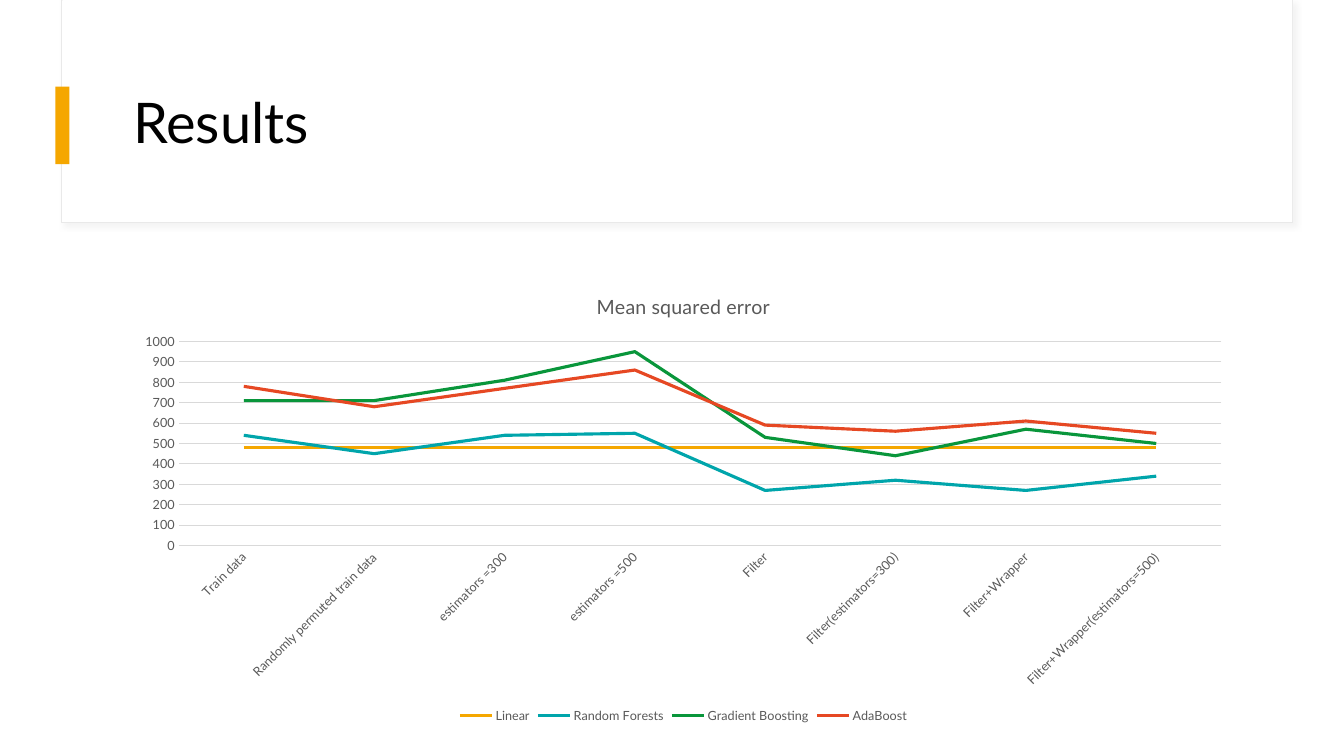
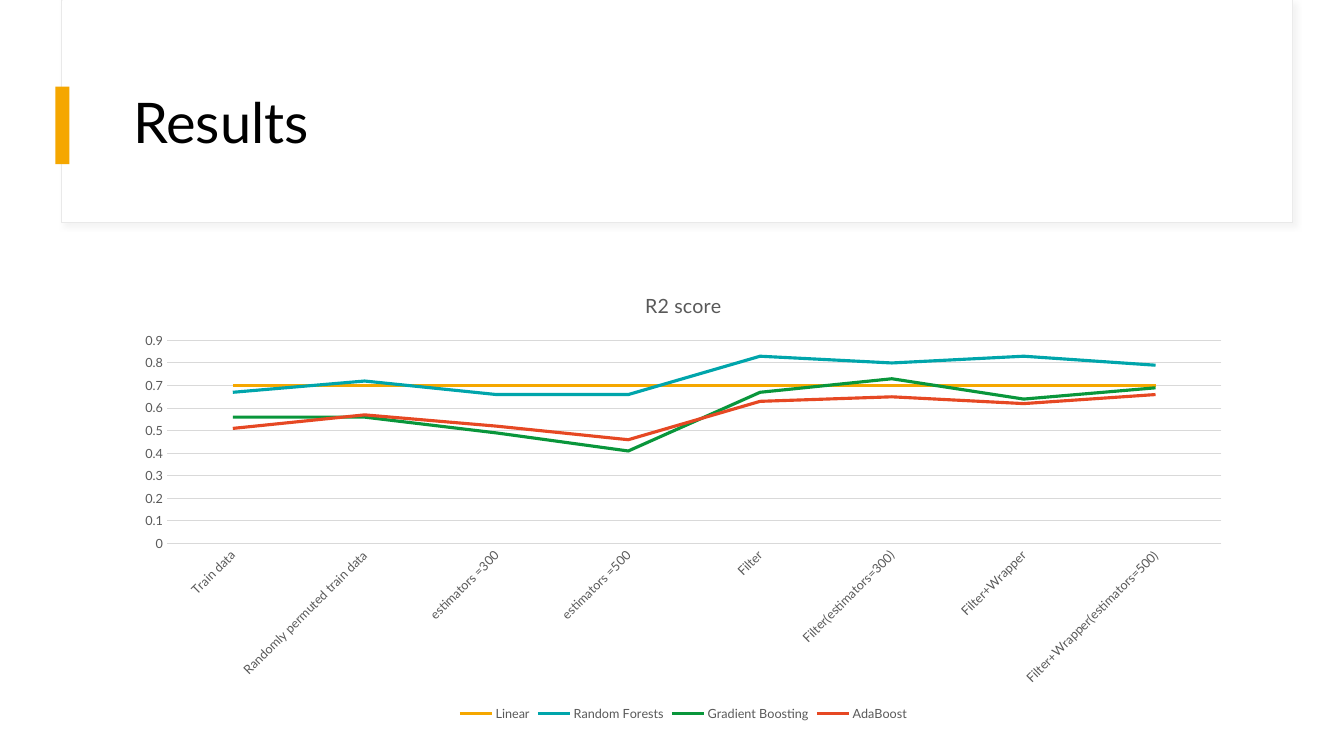
from lxml import etree
from pptx import Presentation
from pptx.chart.data import CategoryChartData
from pptx.dml.color import RGBColor
from pptx.enum import chart as kinds, shapes, text
from pptx.oxml import ns
from pptx.util import Pt

FONT = "Lato"
COLOURS = {
    "white": "FFFFFF", "black": "000000", "accent": "F5A700", "frame": "E9E9E9",
    "shadow": "D9D9D9", "grid": "D9D9D9", "label": "595959",
    "Linear": "F5A700", "Random Forests": "00A5AB",
    "Gradient Boosting": "09963B", "AdaBoost": "E64823",
}
LEFT, WIDTH = 87.84, 800.64
CATEGORIES = [
    "Train data", "Randomly permuted train data", "estimators =300", "estimators =500",
    "Filter", "Filter(estimators=300)", "Filter+Wrapper", "Filter+Wrapper(estimators=500)",
]
RESULTS = [
    {
        "title": "Mean squared error", "top": 195.84, "height": 324, "maximum": 1000, "step": 100,
        "series": {
            "Linear": [480] * 8,
            "Random Forests": [540, 450, 540, 550, 270, 320, 270, 340],
            "Gradient Boosting": [710, 710, 810, 950, 530, 440, 570, 500],
            "AdaBoost": [780, 680, 770, 860, 590, 560, 610, 550],
        },
    },
    {
        "title": "R2 score", "top": 195.12, "height": 323.28, "maximum": 0.9, "step": 0.1,
        "series": {
            "Linear": [0.7] * 8,
            "Random Forests": [0.67, 0.72, 0.66, 0.66, 0.83, 0.8, 0.83, 0.79],
            "Gradient Boosting": [0.56, 0.56, 0.49, 0.41, 0.67, 0.73, 0.64, 0.69],
            "AdaBoost": [0.51, 0.57, 0.52, 0.46, 0.63, 0.65, 0.62, 0.66],
        },
    },
]


def colour(name):
    return RGBColor.from_string(COLOURS[name])


def style_font(font, size, name):
    font.name = FONT
    font.size = Pt(size)
    font.bold = False
    font.color.rgb = colour(name)


def style_line(line, name, width):
    line.color.rgb = colour(name)
    line.width = Pt(width)


def add_band(page, place, fill, outline=None):
    box = page.shapes.add_shape(shapes.MSO_SHAPE.RECTANGLE, *map(Pt, place))
    box.shadow.inherit = False
    box.fill.solid()
    box.fill.fore_color.rgb = colour(fill)
    if outline:
        style_line(box.line, outline, 0.75)
    else:
        box.line.fill.background()
    page.shapes.title.element.addprevious(box.element)
    return box


def add_shadow(box):
    effects = box.element.spPr.find(ns.qn("a:effectLst"))
    shadow = etree.SubElement(
        effects, ns.qn("a:outerShdw"), blurRad=str(Pt(4)), dist=str(Pt(3)),
        dir="2700000", algn="tl", rotWithShape="0")
    tint = etree.SubElement(shadow, ns.qn("a:srgbClr"), val=COLOURS["shadow"])
    etree.SubElement(tint, ns.qn("a:alpha"), val="30000")


def add_header(page, words):
    add_shadow(add_band(page, (43.92, 0, 879.12, 159.12), "white", "frame"))
    add_band(page, (44.64, 0, 878.4, 158.4), "white")
    add_band(page, (39.6, 61.92, 10.08, 55.44), "accent")
    title = page.shapes.title
    title.left, title.top, title.width, title.height = map(Pt, (LEFT, 43.2, WIDTH, 92.88))
    frame = title.text_frame
    frame.vertical_anchor = text.MSO_ANCHOR.MIDDLE
    frame.word_wrap = True
    para = frame.paragraphs[0]
    para.alignment = text.PP_ALIGN.LEFT
    para.line_spacing = 0.9
    span = para.add_run()
    span.text = words
    style_font(span.font, 40, "black")


def style_axes(chart, maximum, step):
    for axis in (chart.category_axis, chart.value_axis):
        axis.major_tick_mark = axis.minor_tick_mark = kinds.XL_TICK_MARK.NONE
        style_font(axis.tick_labels.font, 9, "label")
    style_line(chart.category_axis.format.line, "grid", 0.75)
    for body in chart.element.xpath("c:chart/c:plotArea/c:catAx/c:txPr/a:bodyPr"):
        body.set("rot", "-2700000")
    values = chart.value_axis
    values.minimum_scale, values.maximum_scale, values.major_unit = 0, maximum, step
    values.format.line.fill.background()
    style_line(values.major_gridlines.format.line, "grid", 0.75)


def add_line_chart(page, result):
    data = CategoryChartData()
    data.categories = CATEGORIES
    for name, values in result["series"].items():
        data.add_series(name, values)
    place = map(Pt, (LEFT, result["top"], WIDTH, result["height"]))
    chart = page.shapes.add_chart(kinds.XL_CHART_TYPE.LINE, *place, data).chart
    style_font(chart.font, 10, "black")
    span = chart.chart_title.text_frame.paragraphs[0].add_run()
    span.text = result["title"]
    style_font(span.font, 14, "label")
    chart.has_legend = True
    chart.legend.position = kinds.XL_LEGEND_POSITION.BOTTOM
    chart.legend.include_in_layout = False
    style_font(chart.legend.font, 9, "label")
    style_axes(chart, result["maximum"], result["step"])
    chart.plots[0].vary_by_categories = False
    for series in chart.plots[0].series:
        series.smooth = False
        style_line(series.format.line, series.name, 2.25)


def main():
    deck = Presentation()
    deck.slide_width, deck.slide_height = Pt(960), Pt(540)
    for result in RESULTS:
        page = deck.slides.add_slide(deck.slide_layouts[5])
        add_header(page, "Results")
        add_line_chart(page, result)
    deck.save("out.pptx")


if __name__ == "__main__":
    main()
